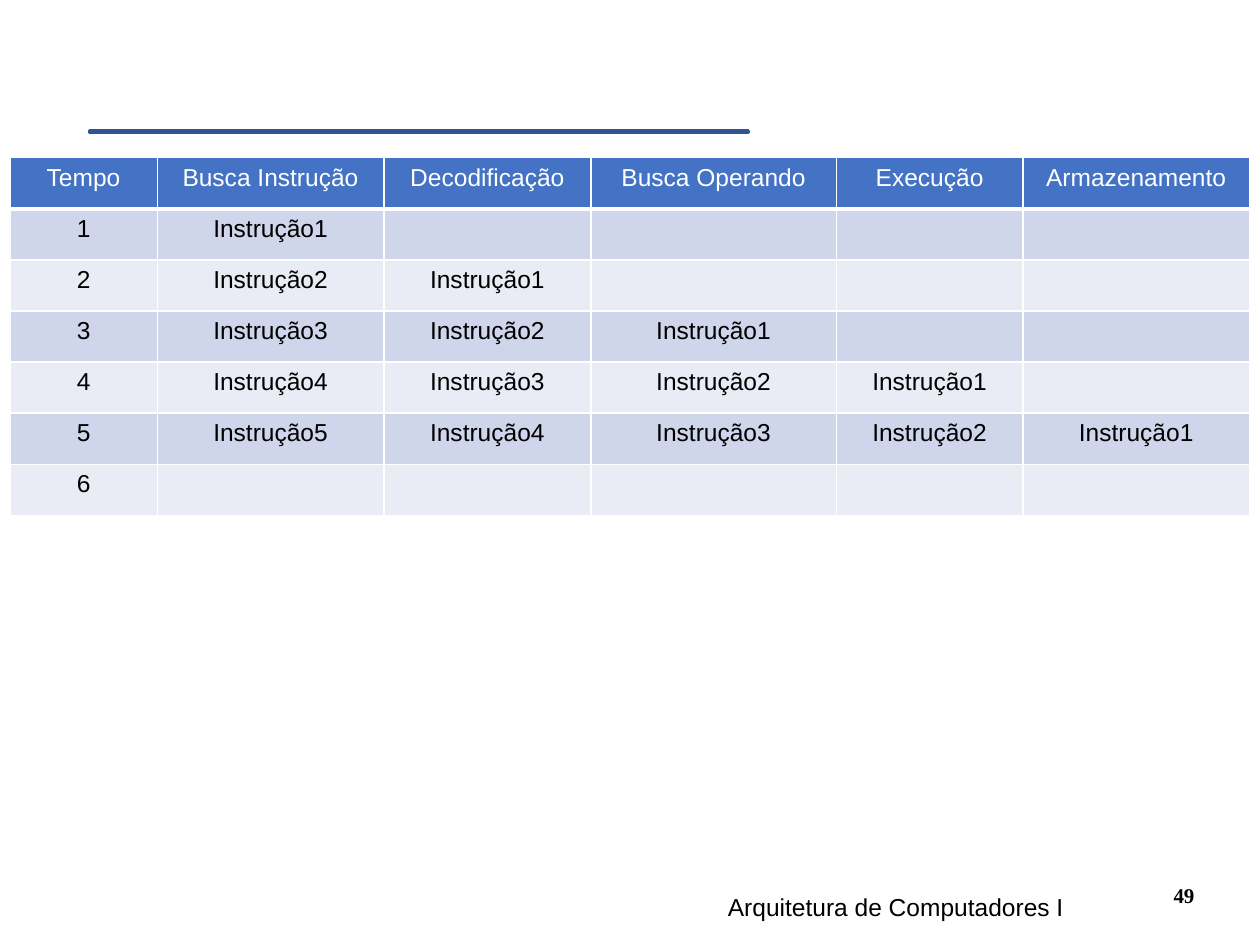
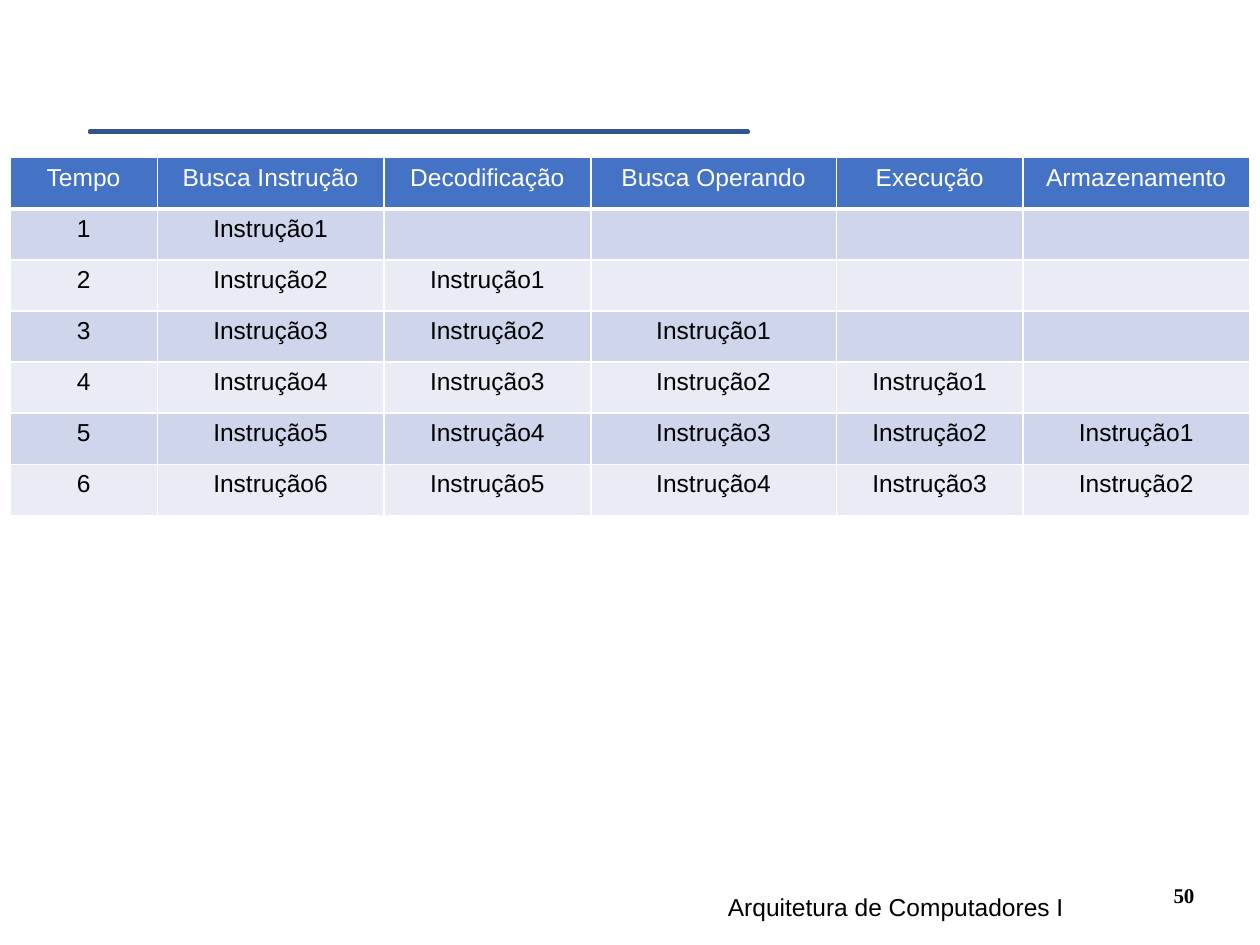
"""Builds two slides that trace instructions through a five-stage pipeline."""
from dataclasses import dataclass

from lxml.etree import SubElement
from pptx import Presentation
from pptx.dml.color import RGBColor as Rgb
from pptx.enum.shapes import MSO_SHAPE as Shape
from pptx.enum.text import MSO_ANCHOR as Anchor, PP_ALIGN as Align
from pptx.oxml.ns import qn
from pptx.util import Cm, Pt


@dataclass(frozen=True)
class Theme:
    accent: str = "4472C4"
    accent_edge: str = "325491"
    odd_row: str = "CFD5EA"
    even_row: str = "E9EBF5"
    ink: str = "000000"
    paper: str = "FFFFFF"
    sans: str = "Arial"
    serif: str = "Times New Roman"
    body_size: int = 14
    number_size: int = 12


theme = Theme()


def write(frame, text, align, color=theme.ink, font=theme.sans, size=theme.body_size, bold=False):
    para = frame.paragraphs[0]
    para.alignment = align
    span = para.add_run()
    span.text = text
    span.font.name = font
    span.font.size = Pt(size)
    span.font.bold = bold
    span.font.color.rgb = Rgb.from_string(color)


def add_border(cell, side, points):
    edge = SubElement(cell._tc.get_or_add_tcPr(), qn(f"a:ln{side}"), w=str(Pt(points)))
    SubElement(SubElement(edge, qn("a:solidFill")), qn("a:srgbClr"), val=theme.paper)


headings = ["Tempo", "Busca Instrução", "Decodificação", "Busca Operando", "Execução", "Armazenamento"]
widths = [2.97, 4.57, 4.17, 4.95, 3.76, 4.57]
row_height = 1.03
last_time = 6

deck = Presentation()
deck.slide_width = Cm(25.4)
deck.slide_height = Cm(19.05)

for page_number, filled_times in [(49, 5), (50, 6)]:
    page = deck.slides.add_slide(deck.slide_layouts[6])

    rows = [headings]
    for time in range(1, last_time + 1):
        stages = [
            f"Instrução{time - stage}" if time <= filled_times and stage < time else ""
            for stage in range(len(headings) - 1)
        ]
        rows.append([str(time)] + stages)

    table = page.shapes.add_table(
        len(rows), len(headings), Cm(0.2), Cm(3.18), Cm(sum(widths)), Cm(row_height * len(rows))
    ).table
    table.first_row = False
    table.horz_banding = False
    for column, width in zip(table.columns, widths):
        column.width = Cm(width)

    for row_index, texts in enumerate(rows):
        is_header = row_index == 0
        band = theme.odd_row if row_index % 2 else theme.even_row
        for column_index, text in enumerate(texts):
            cell = table.cell(row_index, column_index)
            cell.margin_bottom = 0
            for side in "LRTB":
                add_border(cell, side, 3 if is_header and side == "B" else 1)
            cell.fill.solid()
            cell.fill.fore_color.rgb = Rgb.from_string(theme.accent if is_header else band)
            if text:
                write(cell.text_frame, text, Align.CENTER, theme.paper if is_header else theme.ink)

    number_box = page.shapes.add_textbox(Cm(17.78), Cm(17.15), Cm(6.55), Cm(1.27))
    number_box.text_frame.word_wrap = True
    number_box.text_frame.vertical_anchor = Anchor.BOTTOM
    write(number_box.text_frame, str(page_number), Align.RIGHT,
          font=theme.serif, size=theme.number_size, bold=True)

    title_rule = page.shapes.add_shape(Shape.MATH_MINUS, Cm(-0.58), Cm(2.59), Cm(18.06), Cm(0.13))
    title_rule.shadow.inherit = False
    title_rule.fill.solid()
    title_rule.fill.fore_color.rgb = Rgb.from_string(theme.accent)
    title_rule.line.color.rgb = Rgb.from_string(theme.accent_edge)
    title_rule.line.width = Pt(2)

    footer_box = page.shapes.add_textbox(Cm(12.42), Cm(17.86), Cm(11.28), Cm(1.27))
    footer_box.text_frame.word_wrap = True
    write(footer_box.text_frame, "Arquitetura de Computadores I", Align.CENTER)

deck.save("out.pptx")
